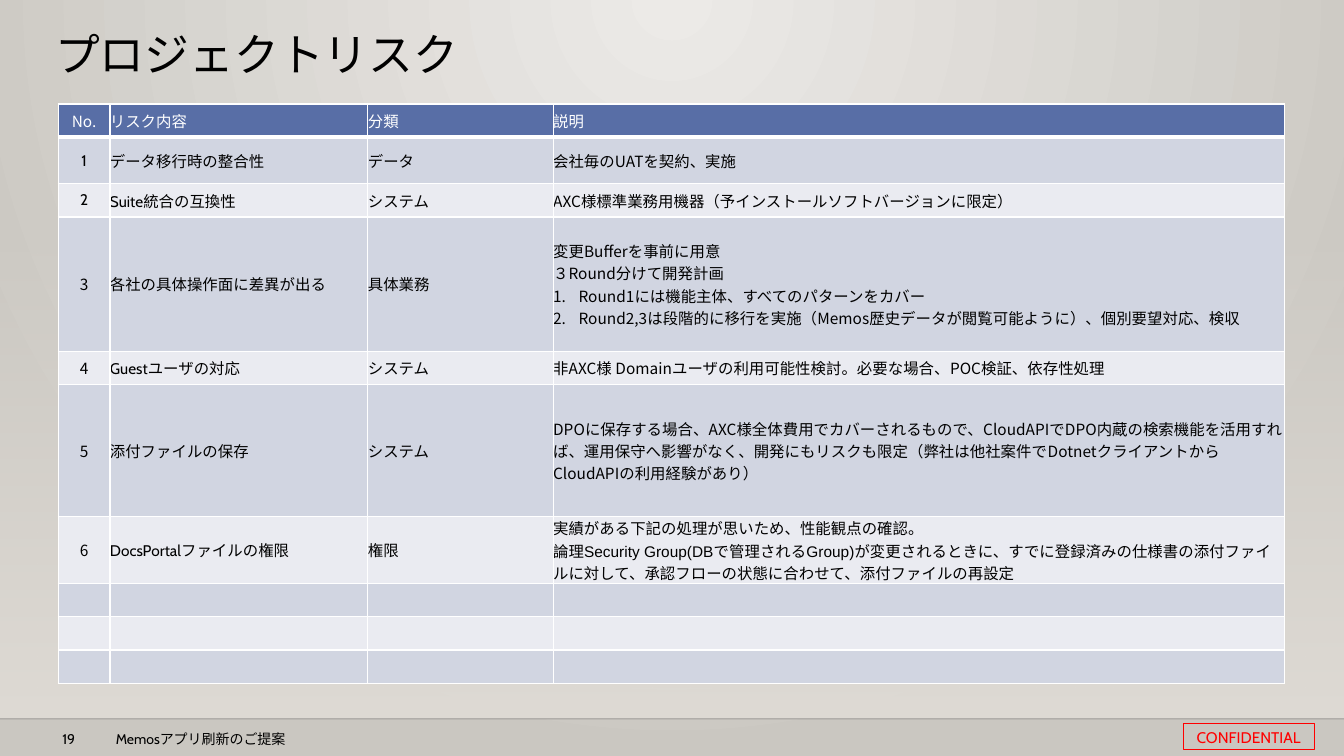
from lxml import etree
from pptx import Presentation
from pptx import util as u
from pptx.dml.color import RGBColor
from pptx.enum import shapes, text
from pptx.oxml import ns

CABIN, NOTO, ARIAL = "Cabin", "Noto Sans CJK JP", "Arial"
BLACK, WHITE, RED = "000000", "FFFFFF", "FF0000"
HEADER, BANDS = "586EA6", ("D1D5E1", "EAEBF1")
LEFT, CENTER = text.PP_ALIGN.LEFT, text.PP_ALIGN.CENTER

COLUMN_WIDTHS = [1.3, 6.5, 4.67, 18.44]
ROW_HEIGHTS = [0.84, 1.17, 0.84, 3.38, 0.84, 3.33, 1.68, 0.84, 0.84, 0.84]
HEADINGS = ["No.", "リスク内容", "分類", "説明"]
# Content, category and description lines; a line starting with "#" is numbered.
RISKS = [
    ("データ移行時の整合性", "データ", ["会社毎のUATを契約、実施"]),
    ("Suite統合の互換性", "システム",
     ["AXC様標準業務用機器（予インストールソフトバージョンに限定）"]),
    ("各社の具体操作面に差異が出る", "具体業務",
     ["変更Bufferを事前に用意",
      "３Round分けて開発計画",
      "#Round1には機能主体、すべてのパターンをカバー",
      "#Round2,3は段階的に移行を実施（Memos歴史データが閲覧可能ように）、個別要望対応、検収"]),
    ("Guestユーザの対応", "システム",
     ["非AXC様 Domainユーザの利用可能性検討。必要な場合、POC検証、依存性処理"]),
    ("添付ファイルの保存", "システム",
     ["DPOに保存する場合、AXC様全体費用でカバーされるもので、CloudAPIでDPO内蔵の検索機能を活用"
      "すれば、運用保守へ影響がなく、開発にもリスクも限定（弊社は他社案件でDotnetクライアントから"
      "CloudAPIの利用経験があり）"]),
    ("DocsPortalファイルの権限", "権限",
     ["実績がある下記の処理が思いため、性能観点の確認。",
      "論理Security Group(DBで管理されるGroup)が変更されるときに、すでに登録済みの仕様書の添付ファ"
      "イルに対して、承認フローの状態に合わせて、添付ファイルの再設定"]),
]


def color(value):
    return RGBColor.from_string(value)


def child(parent, tag, **attributes):
    return etree.SubElement(parent, ns.qn(tag), attributes)


class RiskSlide:
    def __init__(self, presentation):
        self.slide = presentation.slides.add_slide(presentation.slide_layouts[6])
        self.shapes = self.slide.shapes

    def background(self, center, edge):
        fill = self.slide.background.fill
        fill.gradient()
        for stop, value in zip(fill.gradient_stops, (center, edge)):
            stop.color.rgb = color(value)
        gradient = self.slide.background._cSld.find(".//" + ns.qn("a:gradFill"))
        gradient.remove(gradient.find(ns.qn("a:lin")))
        circle = child(gradient, "a:path", path="circle")
        child(circle, "a:fillToRect", l="43000", t="0", r="43000", b="100000")

    def fade(self, left, top, width, height, value):
        """Rectangle that goes from clear at the top to solid at the bottom."""
        shape = self.shapes.add_shape(shapes.MSO_SHAPE.RECTANGLE, u.Cm(left), u.Cm(top),
                                      u.Cm(width), u.Cm(height))
        shape.shadow.inherit = False
        shape.line.fill.background()
        shape.fill.gradient()
        shape.fill.gradient_angle = 270
        for stop in shape.fill.gradient_stops:
            stop.color.rgb = color(value)
        first = shape._element.spPr.find(".//" + ns.qn("a:srgbClr"))
        child(first, "a:alpha", val="0")

    def rule(self, top, width):
        line = self.shapes.add_connector(shapes.MSO_CONNECTOR.STRAIGHT, 0, u.Cm(top),
                                         u.Cm(width), u.Cm(top))
        line.line.width = u.Pt(1)
        line.line.color.rgb = color("000001")
        properties = line._element.spPr
        child(properties.find(".//" + ns.qn("a:srgbClr")), "a:alpha", val="20000")
        child(properties, "a:effectLst")

    def style(self, paragraph, size, font, value, align=LEFT):
        paragraph.alignment = align
        paragraph.font.size = u.Pt(size)
        paragraph.font.name = font
        paragraph.font.bold = False
        paragraph.font.color.rgb = color(value)

    def label(self, words, left, top, width, height, size):
        box = self.shapes.add_textbox(u.Cm(left), u.Cm(top), u.Cm(width), u.Cm(height))
        box.text_frame.word_wrap = True
        paragraph = box.text_frame.paragraphs[0]
        paragraph.text = words
        self.style(paragraph, size, CABIN, BLACK)
        return paragraph

    def stamp(self, words, left, top, width, height):
        shape = self.shapes.add_shape(shapes.MSO_SHAPE.RECTANGLE, u.Cm(left), u.Cm(top),
                                      u.Cm(width), u.Cm(height))
        shape.shadow.inherit = False
        shape.fill.background()
        shape.line.color.rgb = color(RED)
        shape.line.width = u.Pt(0.75)
        frame = shape.text_frame
        frame.margin_left = frame.margin_right = u.Cm(0.1)
        frame.margin_top = frame.margin_bottom = u.Cm(0.1)
        frame.vertical_anchor = text.MSO_ANCHOR.MIDDLE
        frame.paragraphs[0].text = words
        self.style(frame.paragraphs[0], 11, CABIN, RED, CENTER)

    def cell(self, cell, lines, fill, value, fonts, align, top=1, bottom=1):
        """Fill a cell; fonts gives one font per line, the last one repeating."""
        cell.margin_left = cell.margin_right = cell.margin_top = cell.margin_bottom = 0
        cell.vertical_anchor = text.MSO_ANCHOR.MIDDLE
        properties = cell._tc.get_or_add_tcPr()
        for side, width in zip("LRTB", (1, 1, top, bottom)):
            border = child(properties, "a:ln" + side, w=str(u.Pt(width)))
            child(child(border, "a:solidFill"), "a:srgbClr", val=WHITE)
        cell.fill.solid()
        cell.fill.fore_color.rgb = color(fill)
        frame = cell.text_frame
        for index, line in enumerate(lines):
            paragraph = frame.add_paragraph() if index else frame.paragraphs[0]
            paragraph.text = line.lstrip("#")
            if line.startswith("#"):
                layout = paragraph._p.get_or_add_pPr()
                layout.set("marL", str(u.Cm(0.64)))
                layout.set("indent", str(-u.Cm(0.64)))
                child(layout, "a:buAutoNum", type="arabicPeriod")
            self.style(paragraph, 11, fonts[min(index, len(fonts) - 1)], value, align)

    def risk_table(self, left, top):
        table = self.shapes.add_table(
            len(ROW_HEIGHTS), len(COLUMN_WIDTHS), u.Cm(left), u.Cm(top),
            u.Cm(sum(COLUMN_WIDTHS)), u.Cm(sum(ROW_HEIGHTS))).table
        table.first_row = table.horz_banding = False
        for column, width in zip(table.columns, COLUMN_WIDTHS):
            column.width = u.Cm(width)
        for row, height in zip(table.rows, ROW_HEIGHTS):
            row.height = u.Cm(height)
        for column, heading in enumerate(HEADINGS):
            self.cell(table.cell(0, column), [heading], HEADER, WHITE,
                      [CABIN if column % 2 else NOTO], LEFT if column else CENTER, bottom=3)
        for row in range(1, len(ROW_HEIGHTS)):
            lines = [[""]] * len(HEADINGS)
            if row <= len(RISKS):
                content, category, description = RISKS[row - 1]
                lines = [[str(row)], [content], [category], description]
            fonts = [[CABIN if row < 3 else NOTO], [CABIN],
                     [CABIN if row < 5 else NOTO], [NOTO, ARIAL] if row == 6 else [NOTO]]
            for column in range(len(HEADINGS)):
                self.cell(table.cell(row, column), lines[column], BANDS[(row - 1) % 2], BLACK,
                          fonts[column], LEFT if column else CENTER, top=3 if row == 1 else 1)


def main():
    presentation = Presentation()
    presentation.slide_width, presentation.slide_height = u.Cm(33.87), u.Cm(19.05)
    page = RiskSlide(presentation)
    page.background("ECEAE7", "CAC7C1")
    page.fade(0, 5.61, 33.87, 12.5, "DFDBD5")
    page.rule(18.11, 33.87)
    page.label("19", 1.32, 18.29, 1.02, 0.48, 10)
    page.label("Memosアプリ刷新のご提案", 2.67, 18.29, 14.4, 0.48, 10)
    page.stamp("CONFIDENTIAL", 29.82, 18.24, 3.3, 0.66)
    page.label("プロジェクトリスク", 1.14, 0.71, 25.91, 1.9, 32).line_spacing = 0.9
    page.risk_table(1.47, 2.62)
    presentation.save("out.pptx")


if __name__ == "__main__":
    main()
